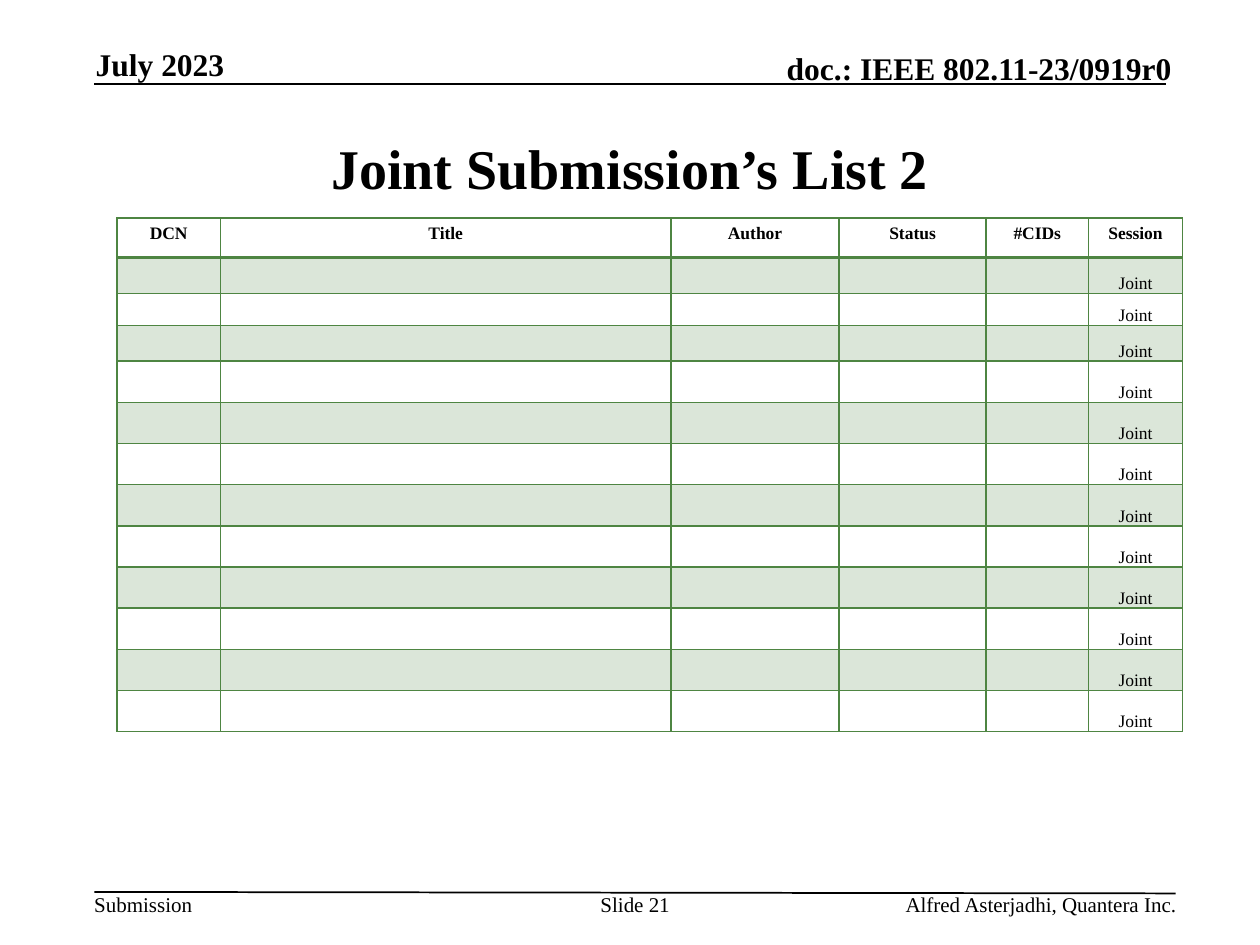
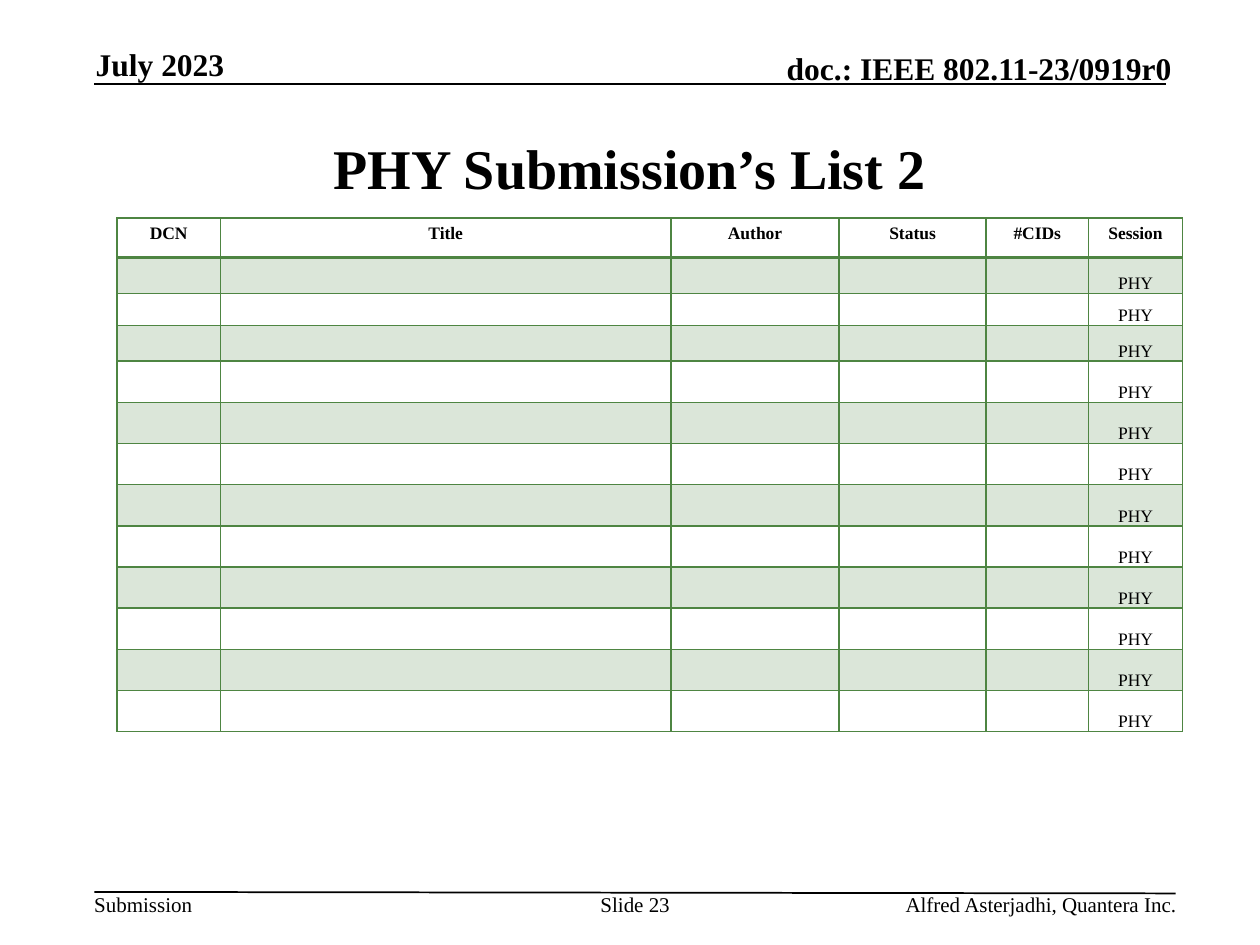
from lxml import etree
from pptx import Presentation
from pptx.dml.color import RGBColor
from pptx.enum.shapes import MSO_CONNECTOR
from pptx.enum.text import MSO_ANCHOR as Anchor, MSO_AUTO_SIZE as AutoSize, PP_ALIGN as Align
from pptx.oxml.ns import qn
from pptx.util import Cm, Pt

# Content: (title, slide label, session)
SLIDES = [
    ("Joint Submission’s List 2", "Slide 21", "Joint"),
    ("PHY Submission’s List 2", "Slide 23", "PHY"),
]
HEADINGS = ["DCN", "Title", "Author", "Status", "#CIDs", "Session"]
DATE = "July 2023"
DOCUMENT = "doc.: IEEE 802.11-23/0919r0"
FOOTER = "Submission"
PRESENTER = "Alfred Asterjadhi, Quantera Inc."

# Shared style
FONT = "Times New Roman"
BLACK = RGBColor(0x00, 0x00, 0x00)
GREEN = RGBColor(0x4E, 0x85, 0x42)
BAND_OPACITY = 20

# Layout, in centimetres
TITLE_BOX = (1.9, 1.9, 21.6, 2.95)
RULES = [(1.9, 1.7, 23.5, 1.7), (1.9, 17.98, 23.7, 18.01)]
TABLE_LEFT, TABLE_TOP = 2.36, 4.39
COLUMN_WIDTHS = [2.08, 9.09, 3.38, 2.97, 2.06, 1.9]
ROW_HEIGHTS = [0.81, 0.72, 0.64, 0.72] + [0.83] * 9


def write(frame, text, size, bold=False, align=Align.LEFT):
    paragraph = frame.paragraphs[0]
    paragraph.alignment = align
    run = paragraph.add_run()
    run.text = text
    font = run.font
    font.name, font.size, font.bold = FONT, Pt(size), bold
    font.color.rgb = BLACK


def add_text(slide, box, text, size, bold=False, align=Align.LEFT, anchor=Anchor.TOP):
    frame = slide.shapes.add_textbox(*map(Cm, box)).text_frame
    frame.margin_left = frame.margin_right = frame.margin_top = frame.margin_bottom = 0
    frame.word_wrap = True
    frame.vertical_anchor = anchor
    write(frame, text, size, bold, align)


def add_rule(slide, ends):
    line = slide.shapes.add_connector(MSO_CONNECTOR.STRAIGHT, *map(Cm, ends))
    line.line.color.rgb = BLACK
    line.line.width = Pt(1)
    etree.SubElement(line._element.spPr, qn("a:effectLst"))


def add_header_and_footer(slide, slide_label):
    for ends in RULES:
        add_rule(slide, ends)
    add_text(slide, (1.93, 0.91, 5.2, 0.76), DATE, 18, True, anchor=Anchor.BOTTOM)
    add_text(slide, (13.89, 0.99, 9.73, 0.76), DOCUMENT, 18, True, Align.RIGHT, Anchor.BOTTOM)
    add_text(slide, (1.9, 17.98, 2.2, 0.5), FOOTER, 12)
    add_text(slide, (12.07, 17.98, 1.47, 0.5), slide_label, 12, align=Align.CENTER)
    add_text(slide, (14.88, 17.98, 8.84, 0.5), PRESENTER, 12, align=Align.RIGHT)


def add_title(slide, text):
    title = slide.shapes.title
    title.left, title.top, title.width, title.height = map(Cm, TITLE_BOX)
    frame = title.text_frame
    frame.auto_size = AutoSize.NONE
    frame.vertical_anchor = Anchor.MIDDLE
    write(frame, text, 32, True, Align.CENTER)


def set_borders(cell, top, bottom):
    properties = cell._tc.get_or_add_tcPr()
    for side, width in (("L", 1), ("R", 1), ("T", top), ("B", bottom)):
        line = etree.SubElement(properties, qn(f"a:ln{side}"), w=str(Pt(width)))
        fill = etree.SubElement(line, qn("a:solidFill"))
        etree.SubElement(fill, qn("a:srgbClr"), val=str(GREEN))


def set_band(cell):
    cell.fill.solid()
    cell.fill.fore_color.rgb = GREEN
    color = cell._tc.tcPr.find(qn("a:solidFill")).find(qn("a:srgbClr"))
    etree.SubElement(color, qn("a:alpha"), val=str(BAND_OPACITY * 1000))


def add_submission_table(slide, session):
    rows = [HEADINGS] + [[""] * 5 + [session] for _ in ROW_HEIGHTS[1:]]
    frame = slide.shapes.add_table(
        len(rows), len(HEADINGS), Cm(TABLE_LEFT), Cm(TABLE_TOP),
        Cm(sum(COLUMN_WIDTHS)), Cm(sum(ROW_HEIGHTS)))
    table = frame.table
    table.first_row = table.horz_banding = False
    for column, width in zip(table.columns, COLUMN_WIDTHS):
        column.width = Cm(width)
    for row, height in zip(table.rows, ROW_HEIGHTS):
        row.height = Cm(height)

    for row_index, row in enumerate(rows):
        is_heading = row_index == 0
        for column_index, text in enumerate(row):
            cell = table.cell(row_index, column_index)
            set_borders(cell, 2 if row_index == 1 else 1, 2 if is_heading else 1)
            if row_index % 2:
                set_band(cell)
            else:
                cell.fill.background()
            if not is_heading:
                cell.margin_left = cell.margin_right = 0
                cell.margin_top = cell.margin_bottom = 0
                cell.vertical_anchor = Anchor.BOTTOM
            if text:
                write(cell.text_frame, text, 10, is_heading, Align.CENTER)
            else:
                cell.text_frame.paragraphs[0].font.size = Pt(10)
                # An empty cell takes its height from the end-of-paragraph size
                etree.SubElement(cell.text_frame.paragraphs[0]._p, qn("a:endParaRPr"), sz="1000")


def main():
    presentation = Presentation()
    presentation.slide_width, presentation.slide_height = Cm(25.4), Cm(19.05)
    title_only = presentation.slide_layouts[5]
    for title, slide_label, session in SLIDES:
        slide = presentation.slides.add_slide(title_only)
        add_header_and_footer(slide, slide_label)
        add_title(slide, title)
        add_submission_table(slide, session)
    presentation.save("out.pptx")


if __name__ == "__main__":
    main()
